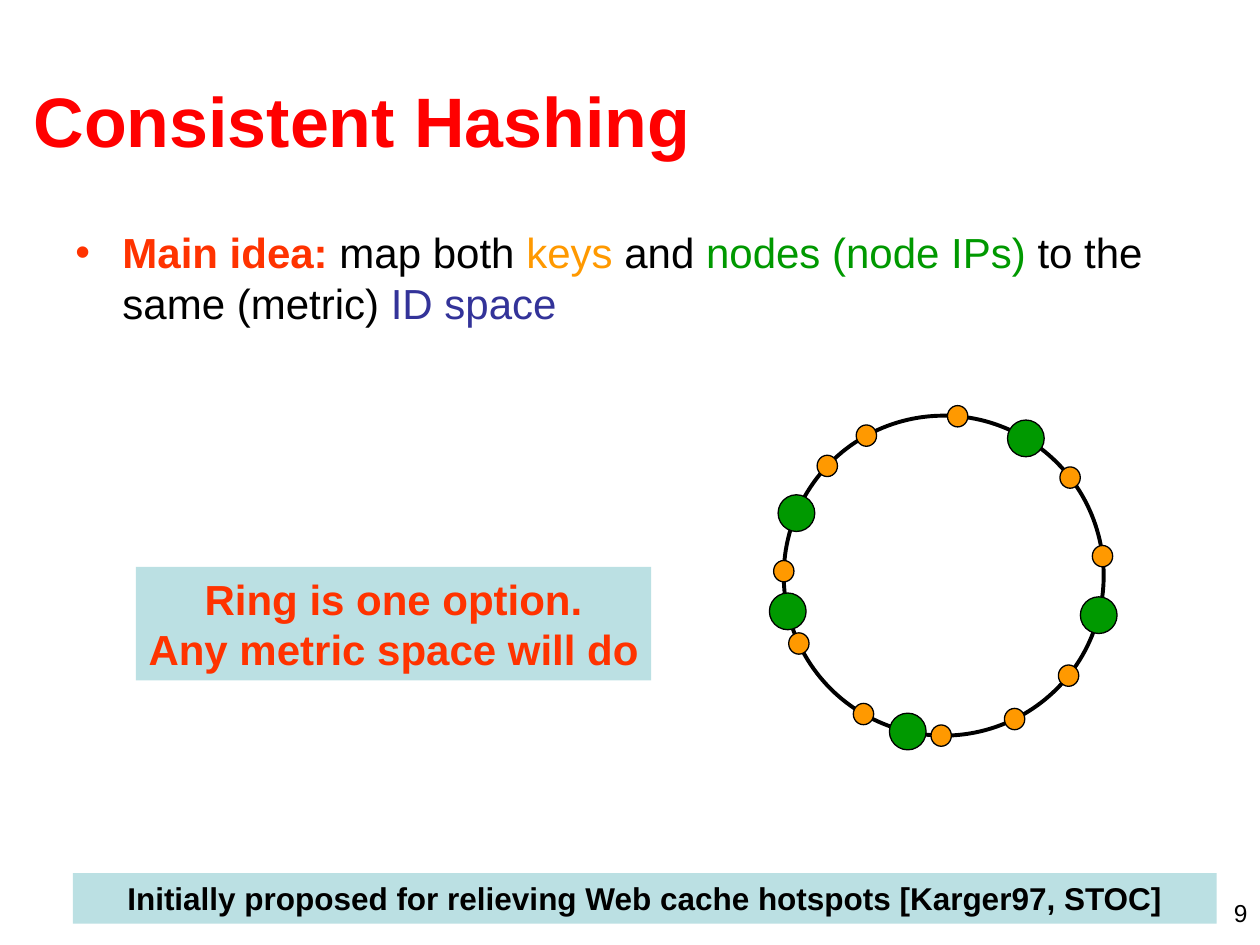
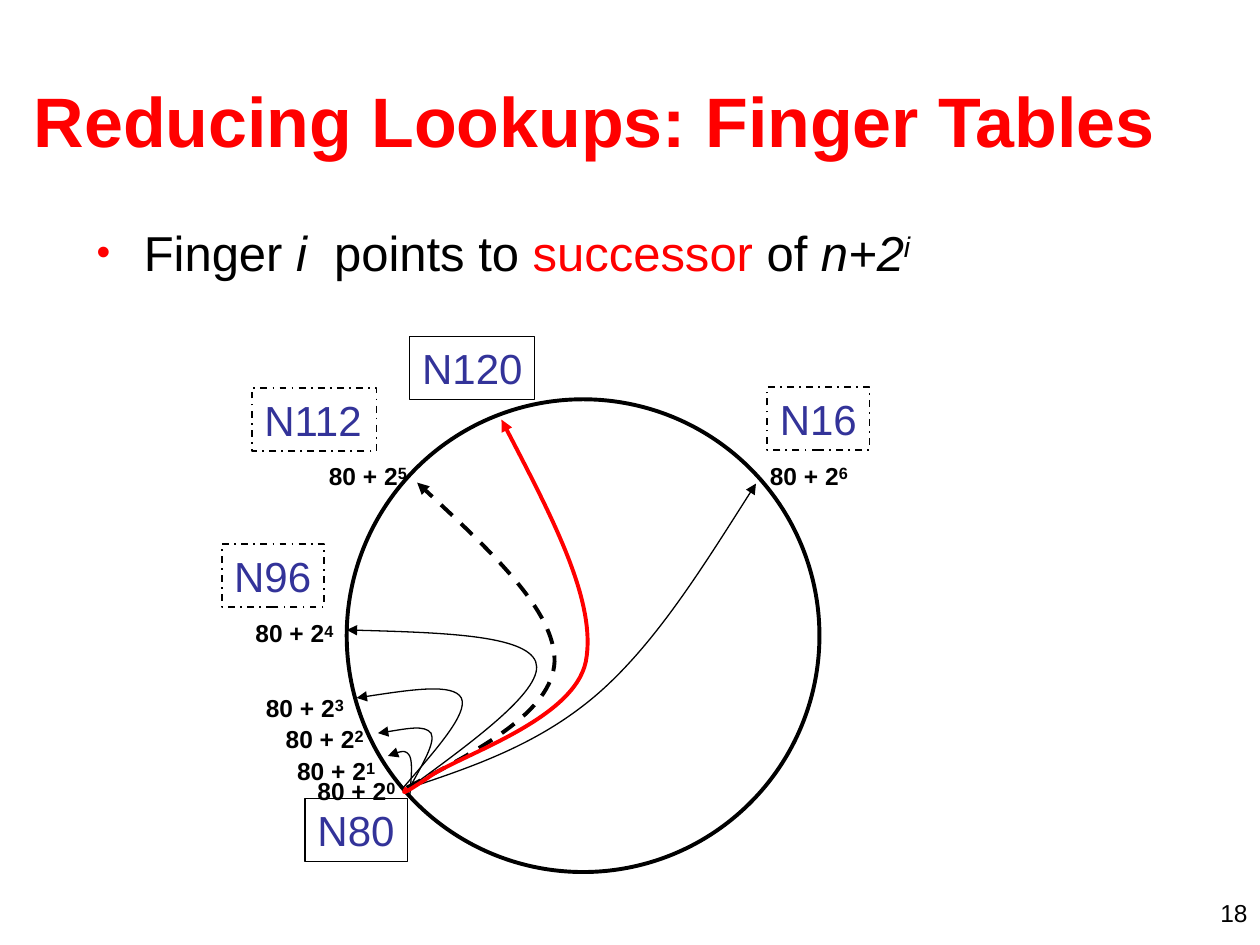
import math

import pptx
import pptx.dml.color
import pptx.enum.dml
import pptx.enum.shapes
import pptx.enum.text
import pptx.util
from lxml import etree
from pptx.oxml.ns import qn

Cm, Pt = pptx.util.Cm, pptx.util.Pt
ALIGN = pptx.enum.text.PP_ALIGN
DASH = pptx.enum.dml.MSO_LINE
SHAPE = pptx.enum.shapes.MSO_SHAPE

FONT = "Arial"
COLORS = {
    "title": "FF0000", "text": "000000", "accent": "FF3300", "key": "FF9900",
    "node": "009900", "id": "333399", "band": "BBE0E3",
}

# Boxes are (left, top, width, height) in centimetres.
TITLE_BOX = (0.43, 0.81, 24.33, 3.18)
NUMBER_BOX = (19.48, 17.98, 5.92, 0.64)

# Runs are (text, style).
HASHING = {
    "title": "Consistent Hashing",
    "number": "9",
    "body_box": (1.27, 4.45, 22.86, 12.57),
    "body": [
        ("Main idea:", {"color": "accent", "bold": True}),
        (" map both ", {}),
        ("keys", {"color": "key"}),
        (" and ", {}),
        ("nodes (node IPs)", {"color": "node"}),
        (" to the same (metric) ", {}),
        ("ID space", {"color": "id"}),
    ],
    "ring": (15.8, 8.38, 6.45, 6.45),
    "option_box": (2.74, 11.43, 10.39, 2.29),
    "option": ["Ring is one option.", "Any metric space will do"],
    "origin_box": (1.47, 17.6, 23.06, 1.02),
    "origin": "Initially proposed for relieving Web cache hotspots [Karger97, STOC]",
}

# Places on the ring, in degrees clockwise from the top.
NODE_SIZE, NODE_ANGLES = (0.74, 0.74), [30.9, 104.3, 193, 257.1, 293]
KEY_SIZE = (0.41, 0.43)
KEY_ANGLES = [5, 52.2, 83, 128.7, 153.7, 180.9, 210.1, 244.9, 271.6, 313.3, 331.1]

FINGERS = {
    "title": "Reducing Lookups: Finger Tables",
    "number": "18",
    "body_box": (1.7, 4.37, 22.86, 2.21),
    "body": [
        ("Finger ", {}),
        ("i", {"italic": True}),
        ("  points to ", {}),
        ("successor", {"color": "title"}),
        (" of ", {}),
        ("n+2", {"italic": True}),
        ("i", {"italic": True, "raised": 30}),
    ],
    "ring": (6.99, 8.05, 9.53, 9.53),
}

# (name, left, top, width, reached by a solid frame)
RING_NODES = [
    ("N120", 8.26, 6.78, 2.51, True),
    ("N80", 6.15, 16.1, 2.06, True),
    ("N112", 5.08, 7.82, 2.51, False),
    ("N96", 4.47, 10.97, 2.06, False),
    ("N16", 15.47, 7.8, 2.06, False),
]
RING_NODE_HEIGHT = 1.27

# Left and top of the label 80 + 2^i, for i = 0, 1, 2 ...
FINGER_LABELS = [(6.15, 15.44), (5.74, 15.04), (5.51, 14.4), (5.11, 13.77),
                 (4.9, 12.27), (6.38, 9.09), (15.27, 9.09)]
FINGER_LABEL_SIZE = (2.08, 0.94)

# Cubic curves: a start, then two handles and an end for each piece.
THIN_FINGERS = [
    [(8.26, 16.1), (8.28, 15.75), (8.33, 15.39), (8.26, 15.24),
     (8.18, 15.11), (8, 15.16), (7.82, 15.24)],
    [(8.26, 15.88), (8.51, 15.42), (8.79, 14.96), (8.69, 14.78),
     (8.56, 14.61), (8.1, 14.71), (7.62, 14.78)],
    [(8.13, 15.88), (8.79, 15.11), (9.45, 14.38), (9.3, 14.07),
     (9.14, 13.77), (8.18, 13.92), (7.19, 14.07)],
    [(8.26, 15.88), (9.63, 14.88), (11, 13.87), (10.8, 13.34),
     (10.59, 12.8), (8.79, 12.75), (6.99, 12.7)],
    [(8.26, 15.88), (9.58, 15.44), (10.9, 14.99), (12.07, 13.97),
     (13.23, 12.95), (14.22, 11.35), (15.24, 9.75)],
]
DASHED_FINGER = [(8.2, 15.88), (9.68, 15.11), (11.13, 14.35), (11.18, 13.34),
                 (11.2, 12.32), (9.8, 11.02), (8.41, 9.73)]
RED_FINGER = [(8.2, 15.88), (8.13, 15.98), (8.03, 16.08), (8.64, 15.67),
              (9.22, 15.24), (11.56, 14.53), (11.81, 13.34),
              (12.04, 12.14), (11.07, 10.31), (10.11, 8.46)]


def rgb(name):
    return pptx.dml.color.RGBColor.from_string(COLORS[name])


def add_run(paragraph, text, size, color="text", bold=False, italic=False, raised=0):
    run = paragraph.add_run()
    run.text = text
    run.font.name, run.font.size = FONT, Pt(size)
    run.font.bold, run.font.italic = bold, italic
    run.font.color.rgb = rgb(color)
    if raised:
        run._r.get_or_add_rPr().set("baseline", str(raised * 1000))


def add_text(slide, box, size, runs, align=ALIGN.LEFT, wrap=True):
    """Add a one-paragraph text box and return its text frame."""
    frame = slide.shapes.add_textbox(*map(Cm, box)).text_frame
    frame.word_wrap = wrap
    paragraph = frame.paragraphs[0]
    paragraph.alignment = align
    for text, style in runs:
        add_run(paragraph, text, **{"size": size, **style})
    return frame


def paint(shape, fill=None, line=None, width=0.75, dash=None):
    shape.shadow.inherit = False
    if fill:
        shape.fill.solid()
        shape.fill.fore_color.rgb = rgb(fill)
    else:
        shape.fill.background()
    if line:
        shape.line.color.rgb = rgb(line)
        shape.line.width = Pt(width)
        if dash:
            shape.line.dash_style = dash
    else:
        shape.line.fill.background()


def add_shape(slide, kind, box, **look):
    shape = slide.shapes.add_shape(kind, *map(Cm, box))
    paint(shape, **look)
    return shape


def add_box(slide, box, lines, size, color, bold=False, align=ALIGN.CENTER,
            wrap=True, **look):
    frame = add_shape(slide, SHAPE.RECTANGLE, box, **look).text_frame
    frame.word_wrap = wrap
    frame.vertical_anchor = pptx.enum.text.MSO_ANCHOR.TOP
    for i, line in enumerate(lines):
        paragraph = frame.add_paragraph() if i else frame.paragraphs[0]
        paragraph.alignment = align
        add_run(paragraph, line, size, color, bold)


def add_ring(slide, box):
    add_shape(slide, SHAPE.OVAL, box, line="text", width=2.25)


def add_ring_dots(slide, ring, angles, size, fill):
    left, top, diameter, _ = ring
    radius = diameter / 2
    width, height = size
    for angle in map(math.radians, angles):
        x = left + radius * (1 + math.sin(angle))
        y = top + radius * (1 - math.cos(angle))
        add_shape(slide, SHAPE.OVAL, (x - width / 2, y - height / 2, width, height),
                  fill=fill, line="text")


def add_curved_arrow(slide, points, **look):
    """Draw cubic pieces by turning each three line segments into one curve."""
    start, *rest = [(Cm(x), Cm(y)) for x, y in points]
    builder = slide.shapes.build_freeform(*start)
    builder.add_line_segments(rest, close=False)
    arrow = builder.convert_to_shape()
    segments = list(arrow._element.iter(qn("a:lnTo")))
    for i in range(0, len(segments), 3):
        curve = etree.Element(qn("a:cubicBezTo"))
        segments[i].addprevious(curve)
        for segment in segments[i:i + 3]:
            curve.append(segment[0])
            segment.getparent().remove(segment)
    paint(arrow, **look)
    etree.SubElement(arrow.line._get_or_add_ln(), qn("a:tailEnd"), type="triangle")


def add_bullet(paragraph, color, percent=100):
    properties = paragraph._p.get_or_add_pPr()
    properties.set("marL", str(Cm(0.95)))
    properties.set("indent", str(-Cm(0.95)))
    bullet_color = etree.SubElement(properties, qn("a:buClr"))
    etree.SubElement(bullet_color, qn("a:srgbClr"), val=COLORS[color])
    etree.SubElement(properties, qn("a:buSzPct"), val=str(percent * 1000))
    etree.SubElement(properties, qn("a:buFont"), typeface=FONT)
    etree.SubElement(properties, qn("a:buChar"), char="•")


def start_slide(deck, content, body_size, bullet_color, bullet_percent=100):
    """Add a slide with its title, bulleted statement and number."""
    slide = deck.slides.add_slide(deck.slide_layouts[6])
    title = add_text(slide, TITLE_BOX, 40,
                     [(content["title"], {"color": "title", "bold": True})])
    title.vertical_anchor = pptx.enum.text.MSO_ANCHOR.MIDDLE
    body = add_text(slide, content["body_box"], body_size, content["body"])
    add_bullet(body.paragraphs[0], bullet_color, bullet_percent)
    add_text(slide, NUMBER_BOX, 14, [(content["number"], {})], ALIGN.RIGHT)
    return slide


def build_hashing(deck):
    slide = start_slide(deck, HASHING, 24, "accent")
    ring = HASHING["ring"]
    add_ring(slide, ring)
    add_ring_dots(slide, ring, KEY_ANGLES, KEY_SIZE, "key")
    add_ring_dots(slide, ring, NODE_ANGLES, NODE_SIZE, "node")
    add_box(slide, HASHING["option_box"], HASHING["option"], 24, "accent",
            bold=True, wrap=False, fill="band")
    add_box(slide, HASHING["origin_box"], [HASHING["origin"]], 18, "text",
            bold=True, fill="band")


def build_fingers(deck):
    slide = start_slide(deck, FINGERS, 28, "title", 80)
    add_ring(slide, FINGERS["ring"])
    for name, left, top, width, solid in RING_NODES:
        frame = {"width": 0.75} if solid else {"width": 1, "dash": DASH.DASH_DOT}
        add_box(slide, (left, top, width, RING_NODE_HEIGHT), [name], 24, "id",
                align=ALIGN.LEFT, wrap=False, line="text", **frame)
    for power, place in enumerate(FINGER_LABELS):
        add_text(slide, place + FINGER_LABEL_SIZE, 14, [
            ("80 + 2", {"bold": True}),
            (str(power), {"bold": True, "size": 16, "raised": 20}),
        ], wrap=False)
    for finger in THIN_FINGERS:
        add_curved_arrow(slide, finger, line="text")
    add_curved_arrow(slide, DASHED_FINGER, line="text", width=2.25, dash=DASH.DASH)
    add_curved_arrow(slide, RED_FINGER, line="title", width=2.25)


def main():
    deck = pptx.Presentation()
    deck.slide_width, deck.slide_height = Cm(25.4), Cm(19.05)
    build_hashing(deck)
    build_fingers(deck)
    deck.save("out.pptx")


if __name__ == "__main__":
    main()
